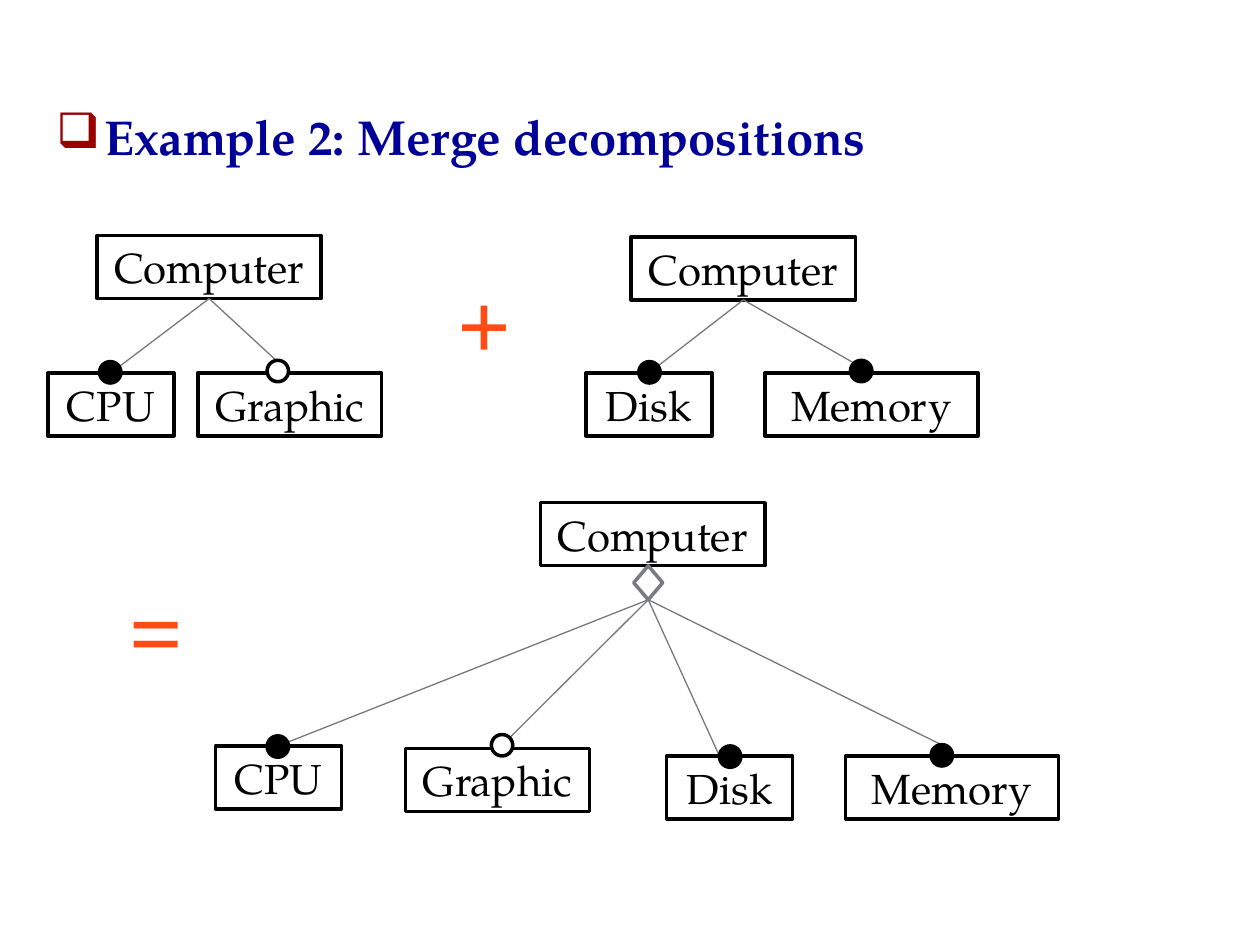
from lxml.etree import SubElement
from pptx import Presentation
from pptx.dml.color import RGBColor
from pptx.enum.shapes import MSO_CONNECTOR, MSO_SHAPE
from pptx.enum.text import MSO_ANCHOR, PP_ALIGN
from pptx.oxml.ns import qn
from pptx.util import Inches, Pt

BLACK = RGBColor(0x00, 0x00, 0x00)
WHITE = RGBColor(0xFF, 0xFF, 0xFF)
NAVY = RGBColor(0x00, 0x00, 0x99)
ORANGE = RGBColor(0xFF, 0x4C, 0x16)
LINE_GRAY = RGBColor(0x76, 0x78, 0x7B)
DIAMOND_GRAY = RGBColor(0x79, 0x7B, 0x7E)
BULLET_RED = "990000"

SERIF = "TeX Gyre Pagella"
SYMBOL_FONT = "Times New Roman"
BOX_HEIGHT = 0.5
DOT = 0.17
WIDTHS = {"Computer": 1.78, "CPU": 1, "Graphic": 1.46, "Disk": 1, "Memory": 1.69}
OPTIONAL = {"Graphic"}

# Children: name, box left, box top, dot left, dot top, line end (None: box top)
FIRST = [("CPU", 0.38, 2.96, 0.79, 2.87, None),
         ("Graphic", 1.57, 2.96, 2.12, 2.86, None)]
SECOND = [("Disk", 4.65, 2.96, 5.07, 2.87, None),
          ("Memory", 6.07, 2.96, 6.75, 2.86, None)]
MERGED = [("CPU", 1.71, 5.92, 2.12, 5.84, None),
          ("Graphic", 3.22, 5.94, 3.9, 5.83, (4.05, 5.85)),
          ("Disk", 5.29, 6, 5.71, 5.92, (5.71, 6)),
          ("Memory", 6.71, 6, 7.39, 5.91, (7.47, 5.91))]


def style_text(para, text, size, font, color, bold=False):
    para.text = text
    for span in para.runs:
        span.font.size = Pt(size)
        span.font.name = font
        span.font.bold = bold
        span.font.color.rgb = color


def add_outlined(page, kind, left, top, width, height, fill=WHITE, line=BLACK):
    shape = page.shapes.add_shape(kind, Inches(left), Inches(top),
                                  Inches(width), Inches(height))
    shape.shadow.inherit = False
    shape.fill.solid()
    shape.fill.fore_color.rgb = fill
    shape.line.color.rgb = line
    shape.line.width = Pt(2)
    return shape


def add_component(page, name, left, top):
    box = add_outlined(page, MSO_SHAPE.RECTANGLE, left, top, WIDTHS[name], BOX_HEIGHT)
    frame = box.text_frame
    frame.word_wrap = False
    frame.vertical_anchor = MSO_ANCHOR.MIDDLE
    para = frame.paragraphs[0]
    para.alignment = PP_ALIGN.CENTER
    style_text(para, name, 24, SERIF, BLACK)
    return box


def add_branch(page, parent, child, end):
    x, y = end or (0, 0)
    branch = page.shapes.add_connector(MSO_CONNECTOR.STRAIGHT, 0, 0, Inches(x), Inches(y))
    branch.begin_connect(parent, 2)
    if end is None:
        branch.end_connect(child, 0)
    branch.line.color.rgb = LINE_GRAY
    branch.line.width = Pt(0.75)
    SubElement(branch.element.spPr, qn("a:effectLst"))


def add_children(page, parent, children):
    for name, left, top, dot_left, dot_top, end in children:
        child = add_component(page, name, left, top)
        add_branch(page, parent, child, end)
        add_outlined(page, MSO_SHAPE.OVAL, dot_left, dot_top, DOT, DOT,
                     fill=WHITE if name in OPTIONAL else BLACK)


def add_operator(page, symbol, left, top):
    box = page.shapes.add_textbox(Inches(left), Inches(top), Inches(0.63), Inches(1.01))
    box.text_frame.word_wrap = False
    para = box.text_frame.paragraphs[0]
    para.alignment = PP_ALIGN.CENTER
    style_text(para, symbol, 54, SYMBOL_FONT, ORANGE, bold=True)


def add_heading(page, text):
    box = page.shapes.add_textbox(Inches(0.35), Inches(0.8), Inches(9.23), Inches(5.7))
    box.text_frame.word_wrap = True
    para = box.text_frame.paragraphs[0]
    props = para._p.get_or_add_pPr()
    props.set("marL", str(Inches(0.38)))
    props.set("indent", str(Inches(-0.38)))
    bullet_color = SubElement(props, qn("a:buClr"))
    SubElement(bullet_color, qn("a:srgbClr"), val=BULLET_RED)
    SubElement(props, qn("a:buChar"), char="❑")
    style_text(para, text, 28, SERIF, NAVY, bold=True)


def main():
    deck = Presentation()
    deck.slide_width = Inches(10)
    deck.slide_height = Inches(7.5)
    page = deck.slides.add_slide(deck.slide_layouts[6])

    add_heading(page, "Example 2: Merge decompositions")

    # The two decompositions to merge
    for left, top, children in [(0.77, 1.87, FIRST), (5.01, 1.88, SECOND)]:
        add_children(page, add_component(page, "Computer", left, top), children)

    # The merged decomposition
    add_component(page, "Computer", 4.29, 3.99)
    diamond = add_outlined(page, MSO_SHAPE.DIAMOND, 5.03, 4.49, 0.23, 0.27,
                           line=DIAMOND_GRAY)
    add_children(page, diamond, MERGED)

    # Operators between the diagrams
    add_operator(page, "+", 3.53, 2.05)
    add_operator(page, "=", 0.93, 4.49)

    deck.save("out.pptx")


if __name__ == "__main__":
    main()
